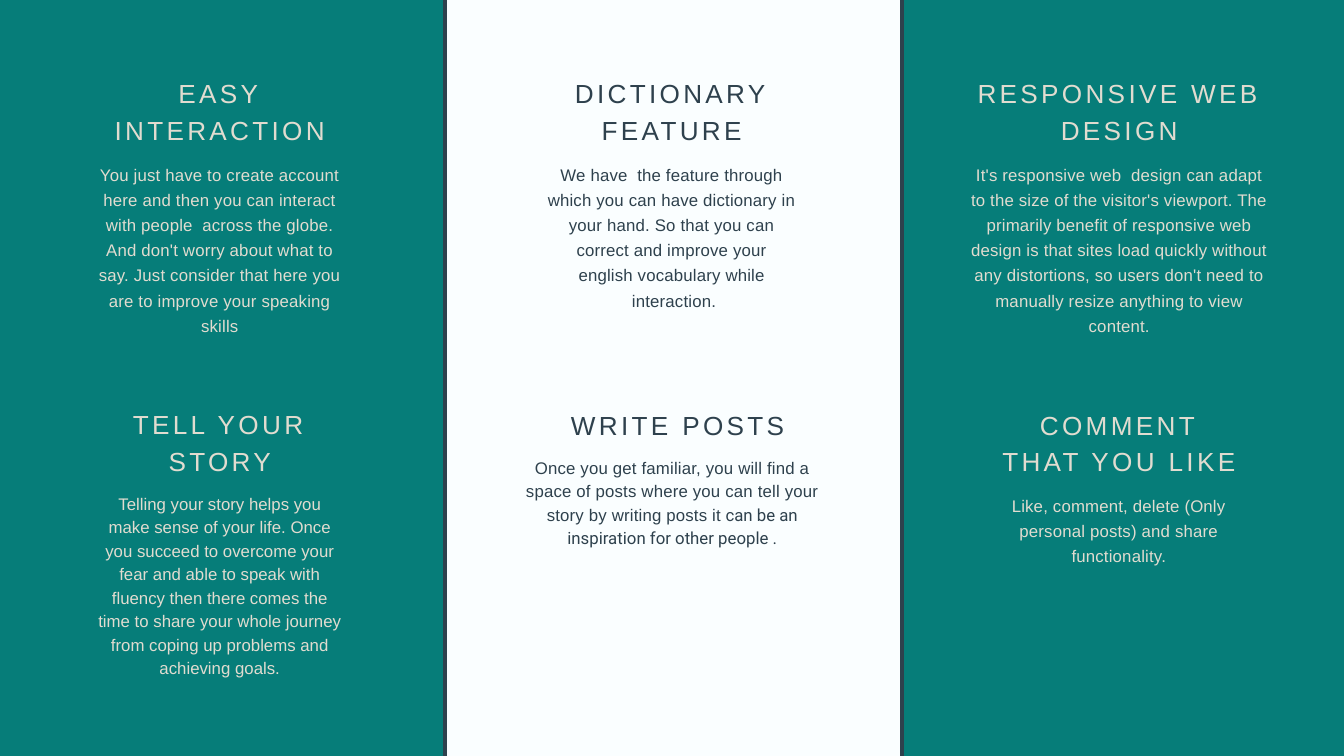
import pptx
import pptx.util
import pptx.dml.color
import pptx.enum.shapes
import pptx.enum.text

Inches, Pt = pptx.util.Inches, pptx.util.Pt
RGBColor = pptx.dml.color.RGBColor

TEAL = RGBColor(0x06, 0x7D, 0x79)
SLATE = RGBColor(0x2E, 0x41, 0x4D)
CREAM = RGBColor(0xE1, 0xDC, 0xD0)
OFF_WHITE = RGBColor(0xFA, 0xFE, 0xFF)


def add_text(left, top, width, height, paragraphs, size, leading, color):
    """Each paragraph is a list of (text, font, letter spacing in points) runs."""
    box = slide.shapes.add_textbox(Inches(left), Inches(top), Inches(width), Inches(height))
    frame = box.text_frame
    frame.word_wrap = True
    frame.auto_size = pptx.enum.text.MSO_AUTO_SIZE.SHAPE_TO_FIT_TEXT
    frame.margin_left = frame.margin_right = frame.margin_top = frame.margin_bottom = 0
    for index, runs in enumerate(paragraphs):
        paragraph = frame.add_paragraph() if index else frame.paragraphs[0]
        paragraph.alignment = pptx.enum.text.PP_ALIGN.CENTER
        paragraph.line_spacing = Pt(leading)
        for text, font, spacing in runs:
            run = paragraph.add_run()
            run.text = text
            run.font.name = font
            run.font.size = Pt(size)
            run.font.color.rgb = color
            run.font._element.set("spc", str(round(spacing * 100)))


presentation = pptx.Presentation()
presentation.slide_width = Inches(20)
presentation.slide_height = Inches(11.25)
slide = presentation.slides.add_slide(presentation.slide_layouts[6])
slide.background.fill.solid()
slide.background.fill.fore_color.rgb = OFF_WHITE

# Outer teal panels, bleeding past the slide edges
for left, width in ((-0.08, 6.7), (13.42, 6.73)):
    panel = slide.shapes.add_shape(pptx.enum.shapes.MSO_SHAPE.RECTANGLE,
                                   Inches(left), Inches(-0.64), Inches(width), Inches(12.52))
    panel.shadow.inherit = False
    panel.fill.solid()
    panel.fill.fore_color.rgb = TEAL
    panel.line.color.rgb = SLATE
    panel.line.width = Pt(4.5)

# Features: left, top, width, heading, heading height, body height, body leading, colour, body
features = [
    (1.44, 1.08, 3.66, "EASY INTERACTION", 1.05, 2.6, 27, CREAM,
     [[("You just have to create account here and then you can interact with people  across "
        "the globe. And don't worry about what to say. Just consider that here you are to "
        "improve your speaking skills", "Arial", 0.2)]]),
    (8.15, 1.08, 3.69, "DICTIONARY FEATURE", 1.05, 2.22, 27, SLATE,
     [[("We have  the feature through which you can have dictionary in your hand. So that you "
        "can correct and improve your english vocabulary while", "Arial", 0.2)],
      [(" interaction.", "Arial", 0.2)]]),
    (14.43, 1.08, 4.45, "RESPONSIVE WEB DESIGN", 1.05, 2.97, 27, CREAM,
     [[("It's responsive web  design can adapt to the size of the visitor's viewport. The "
        "primarily benefit of responsive web design is that sites load quickly without any "
        "distortions, so users don't need to manually resize anything to view content.",
        "Arial", 0.2)]]),
    (1.44, 6, 3.66, "TELL YOUR STORY", 1.05, 3.11, 25.2, CREAM,
     [[("Telling your story helps you make sense of your life. Once you succeed to overcome "
        "your fear and able to speak with fluency then there comes the time to share your "
        "whole journey from coping up problems and achieving goals.", "Arial", 0)]]),
    (7.78, 6.01, 4.45, " WRITE POSTS", 0.51, 1.39, 25.2, SLATE,
     [[("Once you get familiar, you will find a space of posts where you can tell your story "
        "by writing posts it", "Arial", 0.2),
       (" can be an inspiration for other people .", "Roboto", 0)]]),
    (14.82, 6.01, 3.66, "COMMENT THAT YOU LIKE", 1.05, 1.1, 27, CREAM,
     [[("Like, comment, delete (Only personal posts) and share functionality.",
        "Arial", 0.2)]]),
]
BODY_GAP = 0.24
for left, top, width, heading, heading_height, body_height, leading, color, body in features:
    add_text(left, top, width, heading_height, [[(heading, "Arial", 3.6)]], 28, 39.2, color)
    add_text(left, top + heading_height + BODY_GAP, width, body_height, body, 18, leading, color)

presentation.save("out.pptx")
